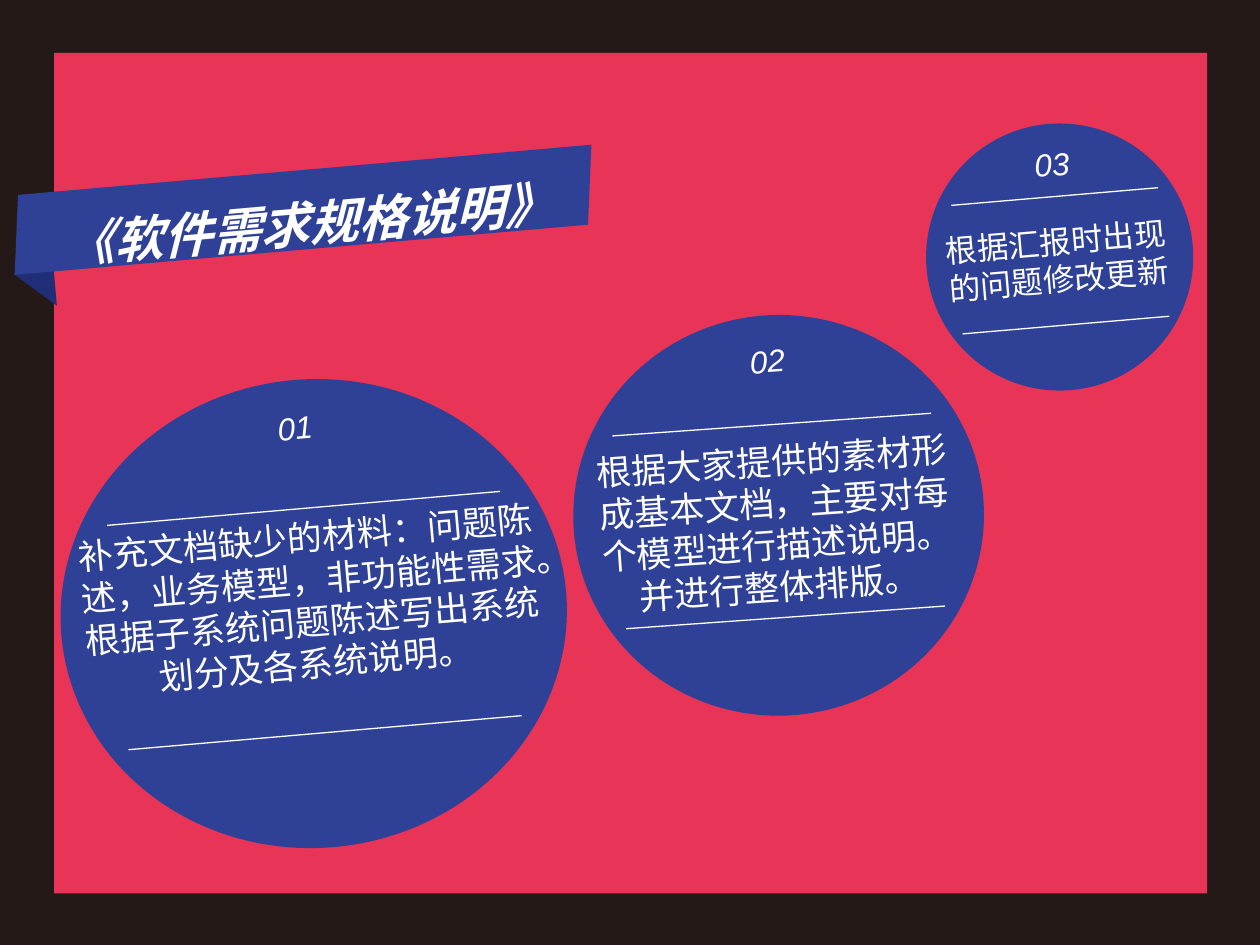
from pptx import Presentation
from pptx.dml.color import RGBColor
from pptx.enum.shapes import MSO_CONNECTOR, MSO_SHAPE
from pptx.enum.text import MSO_ANCHOR, PP_ALIGN
from pptx.oxml.ns import qn
from pptx.util import Inches, Pt
from lxml.etree import SubElement

BLACK = RGBColor(0x24, 0x19, 0x17)
RED = RGBColor(0xE8, 0x34, 0x57)
BLUE = RGBColor(0x2F, 0x41, 0x97)
NAVY = RGBColor(0x1F, 0x2E, 0x76)
WHITE = RGBColor(0xFF, 0xFF, 0xFF)
FONT = "Arial"

TITLE = "《软件需求规格说明》"
# Boxes are (left, top, width, height); rules are (x1, y1, x2, y2); all in inches.
CIRCLES = [
    dict(number="02", tilt=-4, circle=(4.55, 2.5, 3.26, 3.18),
         rules=[(4.86, 3.46, 7.39, 3.28), (4.97, 4.99, 7.5, 4.81)],
         number_box=(5.45, 2.6, 1.3, 0.82), body_box=(4.61, 3.39, 3.09, 1.53),
         size=20, bottom=0.05,
         body="根据大家提供的素材形成基本文档，主要对每个模型进行描述说明。并进行整体排版。"),
    dict(number="01", tilt=-5, circle=(0.48, 3.01, 4.02, 3.72),
         rules=[(0.85, 4.17, 3.97, 3.9), (1.02, 5.95, 4.14, 5.68)],
         number_box=(1.54, 3.13, 1.6, 0.46), body_box=(0.57, 4.03, 3.82, 1.79),
         size=20, bottom=0.38,
         body="补充文档缺少的材料：问题陈述，业务模型，非功能性需求。"
              "根据子系统问题陈述写出系统划分及各系统说明。"),
    dict(number="03", tilt=-5, circle=(7.35, 0.98, 2.12, 2.12),
         rules=[(7.55, 1.63, 9.19, 1.49), (7.64, 2.65, 9.28, 2.51)],
         number_box=(7.92, 1.04, 0.85, 0.46), body_box=(7.38, 1.55, 2.02, 1.03),
         size=18, bottom=0.05,
         body="根据汇报时出现的问题修改更新"),
]


def inches(values):
    return [Inches(value) for value in values]


def add_filled(page, kind, box, color, tilt=0):
    shape = page.shapes.add_shape(kind, *inches(box))
    shape.rotation = tilt
    shape.shadow.inherit = False
    shape.fill.solid()
    shape.fill.fore_color.rgb = color
    shape.line.fill.background()
    return shape


def add_rule(page, ends):
    rule = page.shapes.add_connector(MSO_CONNECTOR.STRAIGHT, *inches(ends))
    rule.line.color.rgb = WHITE
    rule.line.width = Pt(0.75)
    SubElement(rule._element.spPr, qn("a:effectLst"))


def add_text(page, box, text, size, tilt, align=PP_ALIGN.CENTER, spacing=1.0,
             anchor=MSO_ANCHOR.TOP, side=0.1, bottom=0.05, wrap=True,
             bold=False, italic=False):
    shape = page.shapes.add_textbox(*inches(box))
    shape.rotation = tilt
    frame = shape.text_frame
    frame.word_wrap = wrap
    frame.vertical_anchor = anchor
    frame.margin_left = frame.margin_right = Inches(side)
    frame.margin_top, frame.margin_bottom = Inches(0.05), Inches(bottom)
    para = frame.paragraphs[0]
    para.alignment = align
    para.line_spacing = spacing
    span = para.add_run()
    span.text = text
    font = span.font
    font.name, font.size = FONT, Pt(size)
    font.bold, font.italic = bold, italic
    font.color.rgb = WHITE


def add_banner(page):
    add_filled(page, MSO_SHAPE.RIGHT_TRIANGLE, (0.12, 2.16, 0.32, 0.28), NAVY, 175)
    ribbon = add_filled(page, MSO_SHAPE.PARALLELOGRAM, (0.08, 1.35, 4.65, 0.63), BLUE, -5)
    ribbon.adjustments[0] = 0.13
    add_text(page, (0.4, 1.39, 4.18, 0.5), TITLE, 28, -5, align=PP_ALIGN.LEFT,
             spacing=1.2, wrap=False, bold=True, italic=True)


def add_circle(page, item):
    tilt = item["tilt"]
    add_filled(page, MSO_SHAPE.OVAL, item["circle"], BLUE, tilt)
    for ends in item["rules"]:
        add_rule(page, ends)
    add_text(page, item["number_box"], item["number"], 18, tilt,
             spacing=1.2, side=0, italic=True)
    add_text(page, item["body_box"], item["body"], item["size"], tilt,
             anchor=MSO_ANCHOR.MIDDLE, bottom=item["bottom"])


def main():
    deck = Presentation()
    deck.slide_width, deck.slide_height = Inches(10), Inches(7.5)
    page = deck.slides.add_slide(deck.slide_layouts[6])
    page.background.fill.solid()
    page.background.fill.fore_color.rgb = BLACK
    add_filled(page, MSO_SHAPE.RECTANGLE, (0.43, 0.42, 9.15, 6.67), RED)
    add_banner(page)
    for item in CIRCLES:
        add_circle(page, item)
    deck.save("out.pptx")


if __name__ == "__main__":
    main()
